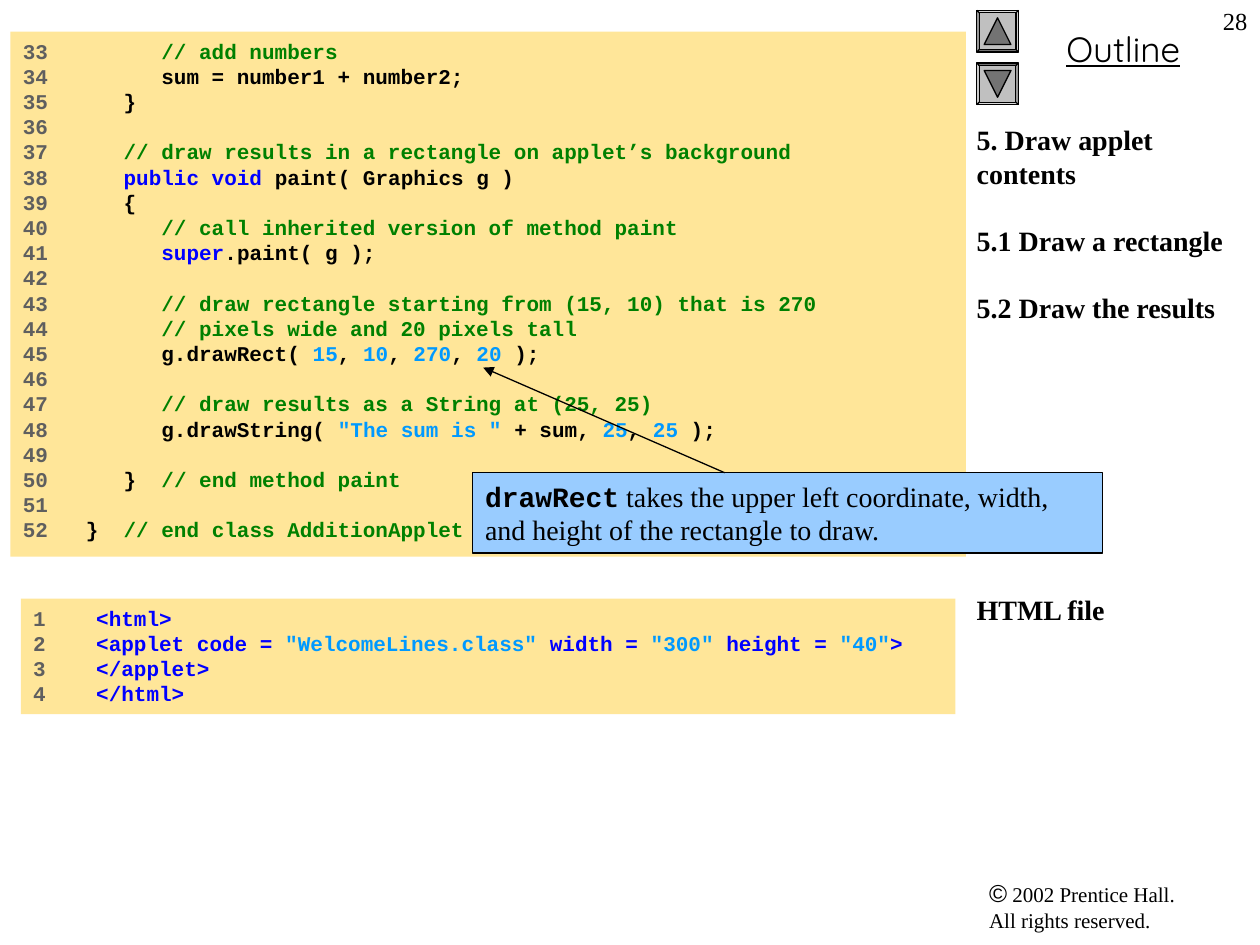
from lxml import etree
from pptx import Presentation
from pptx.dml.color import RGBColor
from pptx.enum.shapes import MSO_CONNECTOR, MSO_SHAPE
from pptx.enum.text import MSO_ANCHOR, MSO_AUTO_SIZE, PP_ALIGN
from pptx.oxml.ns import qn
from pptx.util import Cm, Pt

RECTANGLE, BEVEL, TRIANGLE = MSO_SHAPE.RECTANGLE, MSO_SHAPE.BEVEL, MSO_SHAPE.ISOSCELES_TRIANGLE
STRAIGHT = MSO_CONNECTOR.STRAIGHT
TOP = MSO_ANCHOR.TOP
NO_FIT = MSO_AUTO_SIZE.NONE
LEFT, CENTER, RIGHT = PP_ALIGN.LEFT, PP_ALIGN.CENTER, PP_ALIGN.RIGHT

BLACK = RGBColor(0x00, 0x00, 0x00)
NUMBER_GRAY = RGBColor(0x5F, 0x5F, 0x5F)
COMMENT = RGBColor(0x00, 0x80, 0x00)
KEYWORD = RGBColor(0x00, 0x00, 0xFF)
LITERAL = RGBColor(0x00, 0x99, 0xFF)
CODE_FILL = RGBColor(0xFF, 0xE6, 0x99)
CALLOUT_FILL = RGBColor(0x99, 0xCC, 0xFF)
BUTTON_FILL = RGBColor(0xC0, 0xC0, 0xC0)
ARROW_FILL = RGBColor(0x73, 0x73, 0x73)

SERIF, MONO, SANS, ROUNDED = "Times New Roman", "Courier New", "Arial", "Quicksand"
LINE_FACTOR = 1.2

JAVA_LINES = [
    [("      // add numbers", COMMENT)],
    [("      sum = number1 + number2;", BLACK)],
    [("   }", BLACK)],
    [],
    [("   // draw results in a rectangle on applet’s background", COMMENT)],
    [("   public void", KEYWORD), (" paint( Graphics g )", BLACK)],
    [("   {", BLACK)],
    [("      // call inherited version of method paint", COMMENT)],
    [("      super", KEYWORD), (".paint( g );", BLACK)],
    [],
    [("      // draw rectangle starting from (15, 10) that is 270", COMMENT)],
    [("      // pixels wide and 20 pixels tall", COMMENT)],
    [("      g.drawRect( ", BLACK), ("15", LITERAL), (", ", BLACK), ("10", LITERAL),
     (", ", BLACK), ("270", LITERAL), (", ", BLACK), ("20", LITERAL), (" );", BLACK)],
    [],
    [("      // draw results as a String at (25, 25)", COMMENT)],
    [("      g.drawString(", BLACK), (' "The sum is " ', LITERAL), ("+ sum, ", BLACK),
     ("25", LITERAL), (", ", BLACK), ("25", LITERAL), (" );", BLACK)],
    [],
    [("   }  ", BLACK), ("// end method paint", COMMENT)],
    [],
    [("}  ", BLACK), ("// end class AdditionApplet", COMMENT)],
]
HTML_LINES = [
    [("<html>", KEYWORD)],
    [("<applet code = ", KEYWORD), ('"WelcomeLines.class" ', LITERAL), ("width = ", KEYWORD),
     ('"300"', LITERAL), (" height = ", KEYWORD), ('"40"', LITERAL), (">", KEYWORD)],
    [("</applet>", KEYWORD)],
    [("</html>", KEYWORD)],
]
OUTLINE_TOPICS = [
    ("5. Draw applet contents", 0),
    ("5.1 Draw a rectangle", 19.2),
    ("5.2 Draw the results", 19.2),
    ("HTML file", 153.6),
]


def place(shape, left, top, width, height):
    """Move and size a shape, in centimetres."""
    shape.left, shape.top, shape.width, shape.height = map(Cm, (left, top, width, height))


def prepare_frame(shape):
    """Return the text frame, wrapped and anchored at the top."""
    frame = shape.text_frame
    frame.word_wrap = True
    frame.auto_size = NO_FIT
    frame.vertical_anchor = TOP
    frame.margin_left = frame.margin_right = Cm(0.25)
    frame.margin_top = frame.margin_bottom = Cm(0.13)
    return frame


def format_run(run, font, size, color=BLACK, bold=False):
    """Set the font of a run."""
    run.font.name = font
    run.font.size = Pt(size)
    run.font.color.rgb = color
    run.font.bold = bold


def add_run(paragraph, text, font, size, color=BLACK, bold=False):
    """Append formatted text to a paragraph."""
    run = paragraph.add_run()
    run.text = text
    format_run(run, font, size, color, bold)


def set_spacing(paragraph, size, before=0, align=LEFT):
    """Set alignment, line pitch and gap above a paragraph."""
    paragraph.alignment = align
    paragraph.line_spacing = Pt(size * LINE_FACTOR)
    paragraph.space_before = Pt(before)


def add_solid(slide, kind, box, fill, line=None):
    """Add a filled preset shape, with an optional thin outline."""
    shape = slide.shapes.add_shape(kind, *map(Cm, box))
    shape.shadow.inherit = False
    shape.fill.solid()
    shape.fill.fore_color.rgb = fill
    if line is None:
        shape.line.fill.background()
    else:
        shape.line.color.rgb = line
        shape.line.width = Pt(0.75)
    return shape


def fill_code(shape, lines, first_number):
    """Write numbered, coloured source lines into a shape."""
    frame = prepare_frame(shape)
    for index, tokens in enumerate(lines):
        paragraph = frame.paragraphs[0] if index == 0 else frame.add_paragraph()
        set_spacing(paragraph, 12)
        number = str(first_number + index)
        add_run(paragraph, number.ljust(5) if tokens else number, MONO, 12, NUMBER_GRAY, True)
        for text, color in tokens:
            add_run(paragraph, text, MONO, 12, color, True)


def fill_topics(title):
    """Write the outline topics into the title placeholder."""
    place(title, 19.69, 2.34, 5.71, 15.24)
    frame = prepare_frame(title)
    frame.margin_left = 0
    frame.text = "\n".join(text for text, _ in OUTLINE_TOPICS)
    for paragraph, (_, gap) in zip(frame.paragraphs, OUTLINE_TOPICS):
        set_spacing(paragraph, 16, gap)
        format_run(paragraph.runs[0], SERIF, 16, bold=True)


def add_label(slide, box, text, font, size, align=LEFT):
    """Add a one-line text box and return its paragraph."""
    frame = prepare_frame(slide.shapes.add_textbox(*map(Cm, box)))
    paragraph = frame.paragraphs[0]
    paragraph.text = text
    paragraph.alignment = align
    format_run(paragraph.runs[0], font, size)
    return paragraph


def add_copyright(slide):
    """Add the two-line copyright notice."""
    notice = add_label(slide, (19.69, 17.58, 5.51, 1.37), "©", SANS, 14)
    add_run(notice, " 2002 Prentice Hall.", SERIF, 12)
    notice.add_line_break()
    add_run(notice, "All rights reserved.", SERIF, 12)


def add_scroll_button(slide, top, bevel_turn, arrow_turn):
    """Add a bevelled button with a triangle on it."""
    button = add_solid(slide, BEVEL, (19.69, top, 0.84, 0.84), BUTTON_FILL, BLACK)
    button.adjustments[0] = 0.06
    button.rotation = bevel_turn
    arrow = add_solid(slide, TRIANGLE, (19.84, top + 0.15, 0.54, 0.54), ARROW_FILL, BLACK)
    arrow.rotation = arrow_turn


def add_callout(slide):
    """Add the explanation box and its arrow to the drawRect call."""
    callout = add_solid(slide, RECTANGLE, (9.53, 9.53, 12.7, 1.62), CALLOUT_FILL, BLACK)
    explanation = prepare_frame(callout).paragraphs[0]
    set_spacing(explanation, 16)
    add_run(explanation, "drawRect", MONO, 16, bold=True)
    add_run(explanation, " takes the upper left coordinate, width, "
            "and height of the rectangle to draw.", SERIF, 16)
    pointer = slide.shapes.add_connector(STRAIGHT, Cm(14.61), Cm(9.53), Cm(9.74), Cm(7.41))
    pointer.line.color.rgb = BLACK
    pointer.line.width = Pt(0.75)
    etree.SubElement(pointer.line._get_or_add_ln(), qn("a:tailEnd"), type="triangle")
    etree.SubElement(pointer._element.spPr, qn("a:effectLst"))


def main():
    """Build the slide and save it."""
    deck = Presentation()
    deck.slide_width, deck.slide_height = Cm(25.4), Cm(19.05)
    slide = deck.slides.add_slide(deck.slide_layouts[0])
    fill_topics(slide.shapes.title)
    java_code = slide.placeholders[1]
    place(java_code, 0.21, 0.64, 19.26, 10.58)
    java_code.fill.solid()
    java_code.fill.fore_color.rgb = CODE_FILL
    fill_code(java_code, JAVA_LINES, 33)
    html_code = add_solid(slide, RECTANGLE, (0.42, 12.07, 18.84, 2.33), CODE_FILL)
    fill_code(html_code, HTML_LINES, 1)
    add_copyright(slide)
    heading = add_label(slide, (19.89, 0.43, 5.51, 1.12), "Outline", ROUNDED, 20, CENTER)
    heading.runs[0].font.underline = True
    add_scroll_button(slide, 0.21, 90, 0)
    add_scroll_button(slide, 1.27, 270, 180)
    add_callout(slide)
    add_label(slide, (24.13, 0, 1.27, 1.27), "28", SERIF, 14, RIGHT)
    deck.save("out.pptx")


if __name__ == "__main__":
    main()
